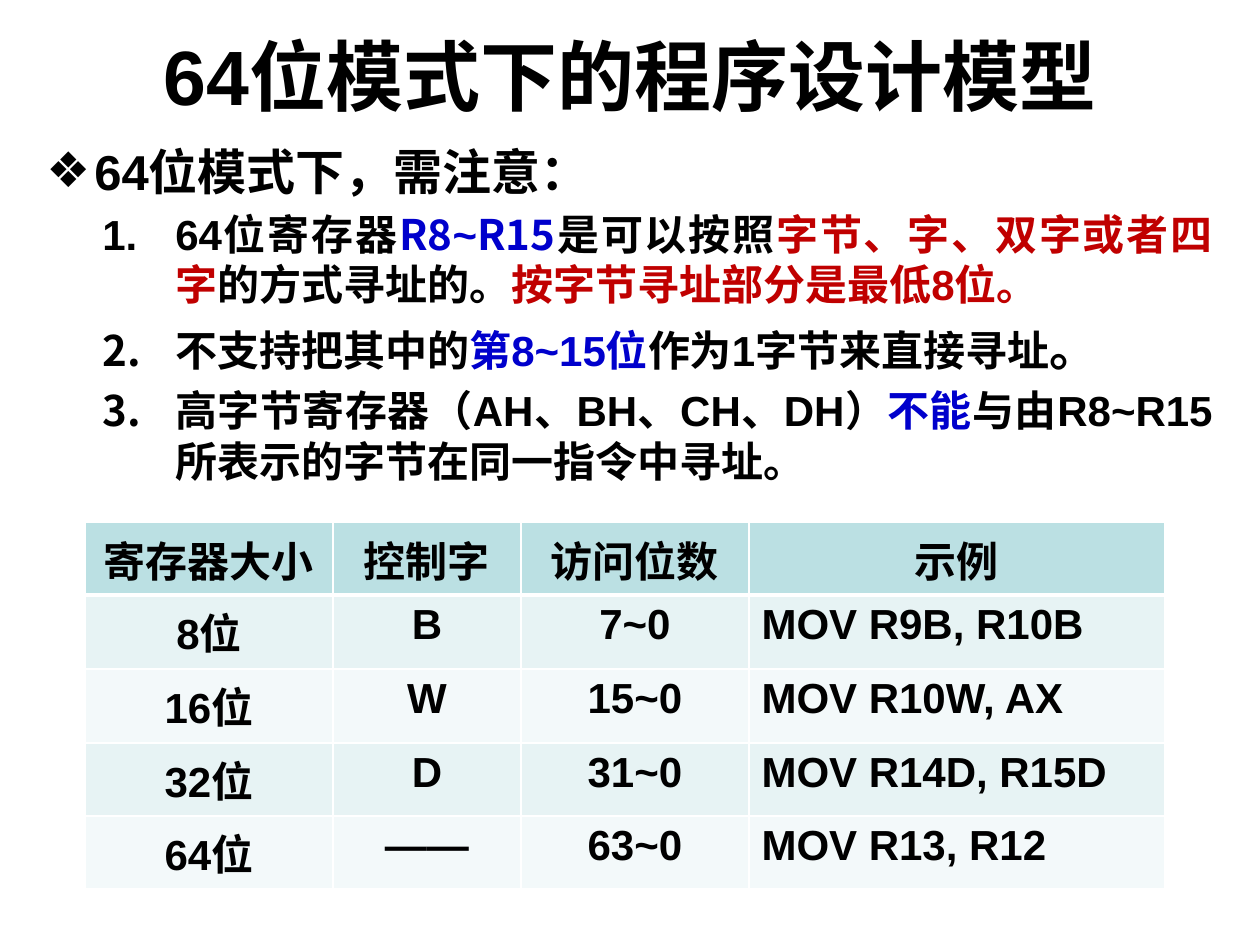
"""Build the slide on the 64-bit programming model."""
from dataclasses import dataclass
from typing import Optional

import lxml.etree
import pptx
import pptx.dml.color
import pptx.enum.text
import pptx.oxml.ns
import pptx.util

EMU_PER_PIXEL = 914400 // 126
LATIN, CJK = "Arial", "Noto Sans CJK SC"
BLACK, BLUE, RED, WHITE = "000000", "0000CC", "C00000", "FFFFFF"
ALIGN = pptx.enum.text.PP_ALIGN
ANCHOR = pptx.enum.text.MSO_ANCHOR


@dataclass
class Span:
    text: str
    color: str = BLACK
    font: str = LATIN
    size: Optional[int] = None


@dataclass
class Item:
    spans: list[Span]
    size: int
    left: int
    indent: int
    bullet_tag: str
    bullet: dict[str, str]
    bullet_font: str = LATIN


NUMBERED = {"size": 24, "left": 129, "indent": -73,
            "bullet_tag": "a:buAutoNum", "bullet": {"type": "arabicPeriod"}}
ITEMS = [
    Item([Span("64位模式下，需注意：")], 28, 48, -48, "a:buChar", {"char": "❖"}),
    Item([Span("64位寄存器"), Span("R8", BLUE, CJK), Span("~", BLUE),
          Span("R15", BLUE, CJK), Span("是可以按照"),
          Span("字节、字、双字或者四字", RED), Span("的方式寻址的。"),
          Span("按字节寻址部分是最低8位。", RED)], **NUMBERED),
    Item([Span("不支持把其中的"), Span("第8~15位", BLUE),
          Span("作为1字节来直接寻址"), Span("。", size=28)],
         bullet_font=CJK, **NUMBERED),
    Item([Span("高字节寄存器（AH、BH、CH、DH）"), Span("不能", BLUE),
          Span("与由R8~R15所表示的字节在同一指令中寻址。")],
         bullet_font=CJK, **NUMBERED),
]
COLUMN_WIDTHS = [248, 188, 228, 416]
ROW_HEIGHTS = [73, 74, 74, 73, 73]
ROWS = [
    ["寄存器大小", "控制字", "访问位数", "示例"],
    ["8位", "B", "7~0", "MOV R9B, R10B"],
    ["16位", "W", "15~0", "MOV R10W, AX"],
    ["32位", "D", "31~0", "MOV R14D, R15D"],
    ["64位", "——", "63~0", "MOV R13, R12"],
]


def px(pixels: int) -> pptx.util.Emu:
    """Turn pixels into EMU."""
    return pptx.util.Emu(pixels * EMU_PER_PIXEL)


def rgb(color: str) -> pptx.dml.color.RGBColor:
    """Turn a hex string into a colour."""
    return pptx.dml.color.RGBColor.from_string(color)


def add_element(parent, tag: str, **attributes: str):
    """Append a DrawingML element to its parent."""
    return lxml.etree.SubElement(parent, pptx.oxml.ns.qn(tag), attributes)


def style_paragraph(paragraph, size: int, alignment) -> None:
    """Set the alignment and the shared bold font of a paragraph."""
    paragraph.alignment = alignment
    font = paragraph.font
    font.size, font.bold, font.name = pptx.util.Pt(size), True, LATIN
    font.color.rgb = rgb(BLACK)
    for properties in paragraph._p.xpath("./a:pPr/a:defRPr"):
        add_element(properties, "a:ea", typeface=CJK)


def add_text_frame(slide, left: int, top: int, width: int, height: int, anchor):
    """Add a wrapping text box and return its text frame."""
    shape = slide.shapes.add_textbox(px(left), px(top), px(width), px(height))
    shape.text_frame.word_wrap = True
    shape.text_frame.vertical_anchor = anchor
    return shape.text_frame


def write_item(paragraph, item: Item) -> None:
    """Write one list item with its bullet and coloured spans."""
    properties = paragraph._p.get_or_add_pPr()
    properties.set("marL", str(px(item.left)))
    properties.set("indent", str(px(item.indent)))
    add_element(properties, "a:buFont", typeface=item.bullet_font)
    add_element(properties, item.bullet_tag, **item.bullet)
    paragraph.space_before = pptx.util.Pt(item.size * 0.2)
    style_paragraph(paragraph, item.size, ALIGN.JUSTIFY)
    for span in item.spans:
        run = paragraph.add_run()
        run.text = span.text
        if span.color != BLACK:
            run.font.color.rgb = rgb(span.color)
        if span.font != LATIN:
            run.font.name = span.font
        if span.size:
            run.font.size = pptx.util.Pt(span.size)


def add_border(cell, side: str, points: int) -> None:
    """Draw one white cell border."""
    line = add_element(cell._tc.get_or_add_tcPr(), f"a:ln{side}",
                       w=str(pptx.util.Pt(points)))
    add_element(add_element(line, "a:solidFill"), "a:srgbClr", val=WHITE)


def fill_cell(cell, text: str, row: int, column: int) -> None:
    """Write and colour one table cell."""
    for side in "LRTB":
        thick = (row, side) in ((0, "B"), (1, "T"))
        add_border(cell, side, 3 if thick else 1)
    cell.fill.solid()
    color = "BBE0E3" if row == 0 else ("F3F9FA", "E7F3F4")[row % 2]
    cell.fill.fore_color.rgb = rgb(color)
    cell.text = text
    example = row > 0 and column == len(COLUMN_WIDTHS) - 1
    style_paragraph(cell.text_frame.paragraphs[0], 24,
                    ALIGN.LEFT if example else ALIGN.CENTER)


def add_register_table(slide) -> None:
    """Add the table of register sizes."""
    table = slide.shapes.add_table(
        len(ROWS), len(COLUMN_WIDTHS), px(85), px(522),
        px(sum(COLUMN_WIDTHS)), px(sum(ROW_HEIGHTS))).table
    for column, width in zip(table.columns, COLUMN_WIDTHS):
        column.width = px(width)
    for row, height in zip(table.rows, ROW_HEIGHTS):
        row.height = px(height)
    for row, texts in enumerate(ROWS):
        for column, text in enumerate(texts):
            fill_cell(table.cell(row, column), text, row, column)


def main() -> None:
    """Build and save the presentation."""
    presentation = pptx.Presentation()
    presentation.slide_width, presentation.slide_height = px(1260), px(945)
    slide = presentation.slides.add_slide(presentation.slide_layouts[6])
    title = add_text_frame(slide, 25, 26, 1211, 97, ANCHOR.MIDDLE).paragraphs[0]
    title.text = "64位模式下的程序设计模型"
    style_paragraph(title, 44, ALIGN.CENTER)
    body = add_text_frame(slide, 34, 135, 1191, 357, ANCHOR.TOP)
    for index, item in enumerate(ITEMS):
        write_item(body.add_paragraph() if index else body.paragraphs[0], item)
    add_register_table(slide)
    presentation.save("out.pptx")


main()
